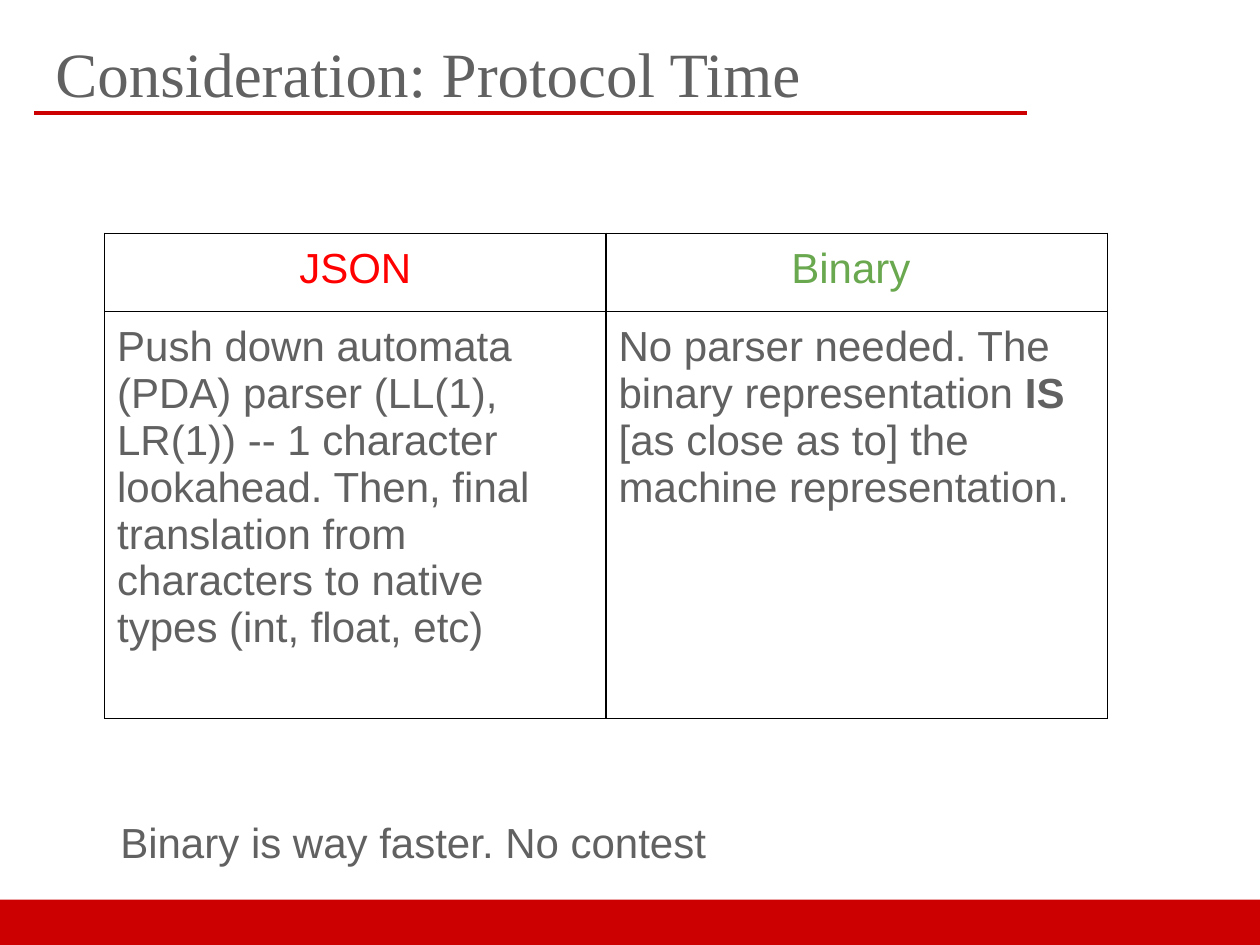
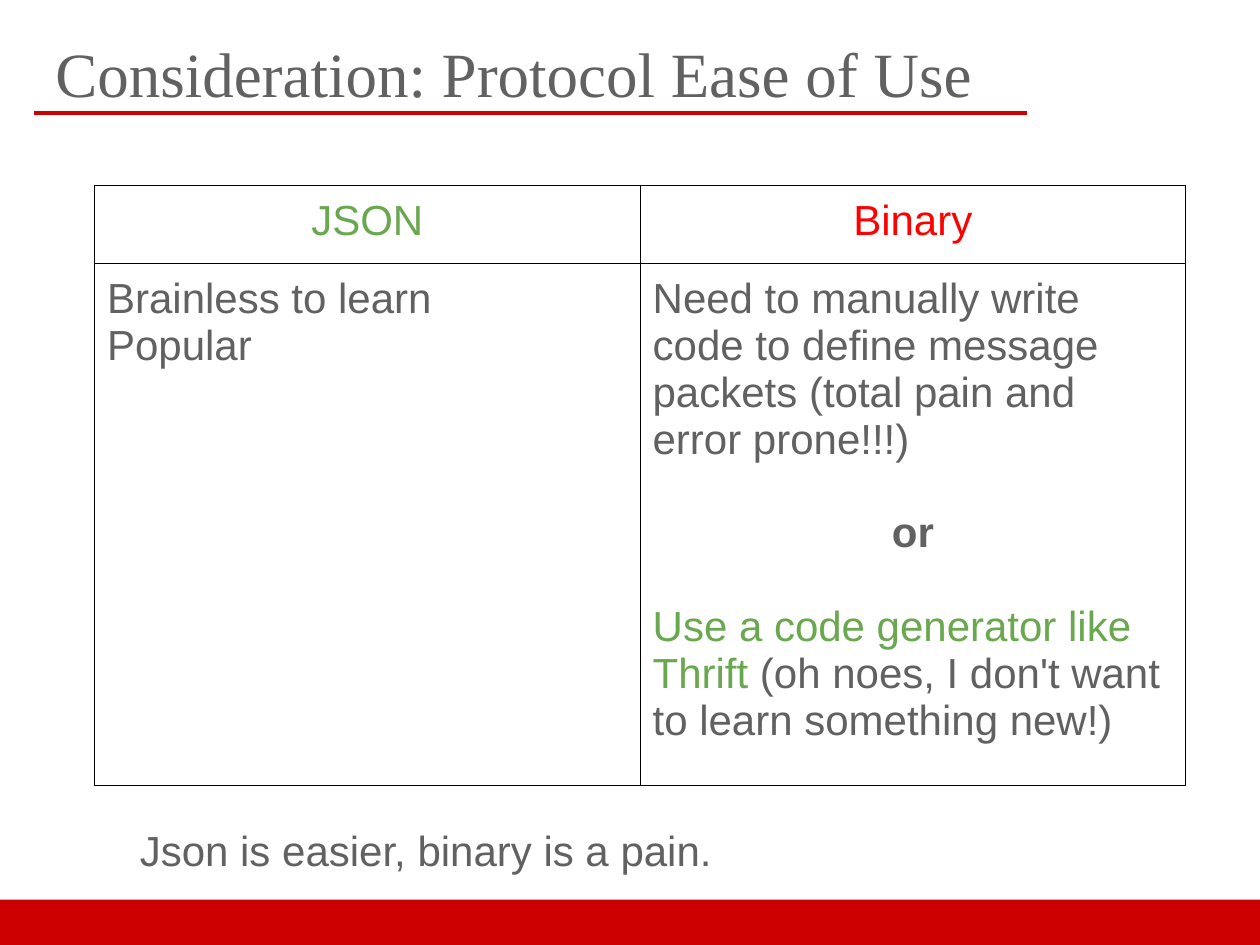
import pptx
import pptx.dml.color
import pptx.enum.shapes
import pptx.enum.text
import pptx.oxml
import pptx.oxml.ns
import pptx.util

PX = 9144  # EMU per px, 100 px to the inch
COLORS = {"band": "CC0000", "text": "616161", "bad": "FF0000",
          "good": "6AA84F", "border": "000000"}
LINE_GAP = 26.7  # one line of body text, in points
CENTER = pptx.enum.text.PP_ALIGN.CENTER


class Deck:
    """Holds the style and the current slide."""
    title_font, body_font = "Times New Roman", "Arial"
    title_size, body_size = 36, 24

    def __init__(self):
        self.prs = pptx.Presentation()
        self.prs.slide_width, self.prs.slide_height = 1000 * PX, 750 * PX

    def color(self, name):
        return pptx.dml.color.RGBColor.from_string(COLORS[name])

    def slide(self, title):
        self.s = self.prs.slides.add_slide(self.prs.slide_layouts[6])
        self.band(0, 714, 1000, 36)
        self.rule(27, 815, 90)
        self.title(title)

    def band(self, x, y, w, h):
        sp = self.s.shapes.add_shape(pptx.enum.shapes.MSO_SHAPE.RECTANGLE,
                                     x * PX, y * PX, w * PX, h * PX)
        sp.shadow.inherit = False
        sp.fill.solid()
        sp.fill.fore_color.rgb = self.color("band")
        sp.line.fill.background()

    def rule(self, x1, x2, y):
        line = self.s.shapes.add_connector(pptx.enum.shapes.MSO_CONNECTOR.STRAIGHT,
                                           x1 * PX, y * PX, x2 * PX, y * PX)
        line.line.color.rgb = self.color("band")
        line.line.width = pptx.util.Pt(2.25)
        pptx.oxml.ns.qn("a:effectLst")
        line._element.spPr.append(pptx.oxml.parse_xml(
            f'<a:effectLst {pptx.oxml.ns.nsdecls("a")}/>'))

    def style(self, r, font, size, color="text", bold=False):
        r.font.name, r.font.size = font, pptx.util.Pt(size)
        r.font.color.rgb = self.color(color)
        r.font.bold = bold

    def text(self, text, x, y, w, h, insets, font=body_font, size=body_size, wrap=True):
        """Adds a one-paragraph text box; insets are left, top, right, bottom."""
        tf = self.s.shapes.add_textbox(x * PX, y * PX, w * PX, h * PX).text_frame
        tf.word_wrap = wrap
        tf.margin_left, tf.margin_top, tf.margin_right, tf.margin_bottom = (
            inset * PX for inset in insets)
        tf.text = text
        p = tf.paragraphs[0]
        self.style(p.runs[0], font, size)
        return tf, p

    def title(self, text):
        tf, p = self.text(text, 35, 15, 860, 68, (9, 4, 9, 4),
                          self.title_font, self.title_size)
        tf.vertical_anchor = pptx.enum.text.MSO_ANCHOR.MIDDLE
        p.line_spacing = pptx.util.Pt(55.8)
        p.space_after = pptx.util.Pt(11.8)

    def borders(self, cell):
        pr = cell._tc.get_or_add_tcPr()
        for i, side in enumerate(("lnL", "lnR", "lnT", "lnB")):
            pr.insert(i, pptx.oxml.parse_xml(
                f'<a:{side} {pptx.oxml.ns.nsdecls("a")} w="9525"><a:solidFill>'
                f'<a:srgbClr val="{COLORS["border"]}"/></a:solidFill></a:{side}>'))

    def cell(self, cell, paragraphs, header):
        """Fills a cell; a paragraph is a list of (text, color, bold) runs."""
        cell.fill.background()
        self.borders(cell)
        cell.margin_left = cell.margin_right = cell.margin_top = cell.margin_bottom = 10 * PX
        tf = cell.text_frame
        for i, runs in enumerate(paragraphs):
            p = tf.add_paragraph() if i else tf.paragraphs[0]
            for text, color, bold in runs:
                r = p.add_run()
                r.text = text
                self.style(r, self.body_font, self.body_size, color, bold)
            divider = len(runs) == 1 and runs[0][2]
            if header or divider:
                p.alignment = CENTER
            if divider:
                p.space_before = p.space_after = pptx.util.Pt(LINE_GAP)

    def table(self, x, y, col_w, row_heights, rows):
        cols = len(rows[0])
        table = self.s.shapes.add_table(len(rows), cols, x * PX, y * PX, cols * col_w * PX,
                                        sum(row_heights) * PX).table
        table.first_row = table.horz_banding = False
        for col in table.columns:
            col.width = col_w * PX
        for i, (height, row) in enumerate(zip(row_heights, rows)):
            table.rows[i].height = height * PX
            for j, paragraphs in enumerate(row):
                self.cell(table.cell(i, j), paragraphs, header=i == 0)


def run(text, color="text", bold=False):
    return text, color, bold


def main():
    deck = Deck()

    # Protocol time
    deck.slide("Consideration: Protocol Time")
    deck.table(83, 185, 398, (62, 323), [
        [[[run("JSON", "bad")]], [[run("Binary ", "good")]]],
        [[[run("Push down automata (PDA) parser (LL(1), LR(1)) -- 1 character lookahead. "
               "Then, final translation from characters to native types (int, float, etc)")]],
         [[run("No parser needed. The binary representation "), run("IS", bold=True),
           run(" [as close as to] the machine representation.")]]],
    ])
    tf, p = deck.text("Binary is way faster. No contest", 83, 643, 490, 50,
                      (10, 5, 10, 5), wrap=False)
    p.alignment = CENTER

    # Protocol ease of use
    deck.slide("Consideration: Protocol Ease of Use")
    deck.table(75, 147, 433, (62, 392), [
        [[[run("JSON", "good")]], [[run("Binary", "bad")]]],
        [[[run("Brainless to learn")], [run("Popular")]],
         [[run("Need to manually write code to define message packets "
               "(total pain and error prone!!!)")],
          [run("or", bold=True)],
          [run("Use a code generator like Thrift", "good"),
           run(" (oh noes, I don't want to learn something new!)")]]],
    ])
    deck.text("Json is easier, binary is a pain.", 76, 644, 786, 61, (35, 10, 10, 10))

    deck.prs.save("out.pptx")


if __name__ == "__main__":
    main()
